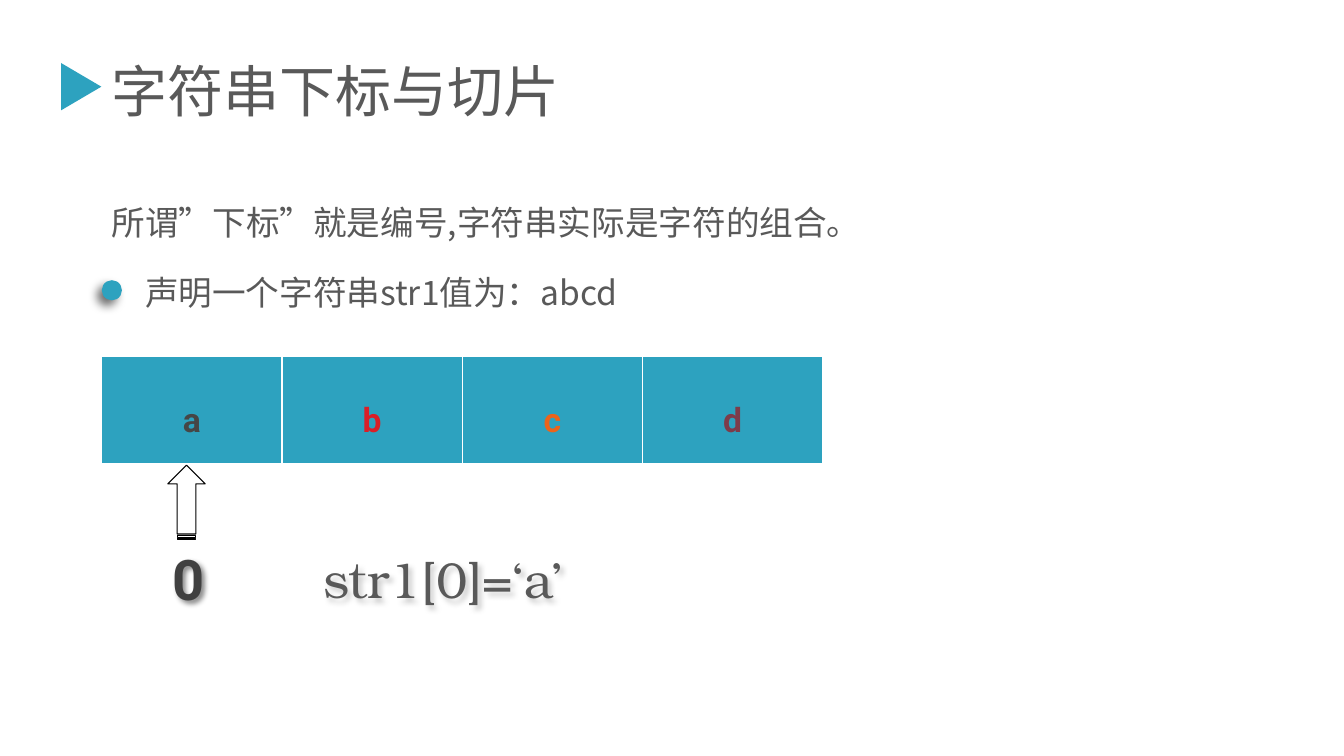
import pptx
import pptx.dml.color
import pptx.enum.shapes
import pptx.enum.text
import pptx.oxml
import pptx.oxml.ns
import pptx.util
from lxml import etree

RGBColor = pptx.dml.color.RGBColor
TEAL = RGBColor(0x2D, 0xA2, 0xBF)
GREY = RGBColor(0x59, 0x59, 0x59)
DARK = RGBColor(0x40, 0x40, 0x40)
SLATE = RGBColor(0x46, 0x46, 0x46)
RED = RGBColor(0xDA, 0x1F, 0x28)
ORANGE = RGBColor(0xEB, 0x64, 0x1B)
PLUM = RGBColor(0x7D, 0x3C, 0x4A)
BLACK = RGBColor(0, 0, 0)
WHITE = RGBColor(0xFF, 0xFF, 0xFF)

CJK, SANS, SERIF = "Noto Sans CJK SC", "Roboto", "TeX Gyre Bonum"
WIDTH, HEIGHT = 13.33, 7.5
COLUMNS, ROWS = 133.3, 75  # grid units of a tenth of an inch
SHAPES = pptx.enum.shapes.MSO_SHAPE
CENTER = pptx.enum.text.PP_ALIGN.CENTER


class SlideBuilder:
    """Draws on one slide; places are (column, row, columns, rows) of the grid."""

    def __init__(self, deck):
        self.deck = deck
        self.slide = deck.slides.add_slide(deck.slide_layouts[5])

    def place(self, column, row, columns, rows):
        across, down = self.deck.slide_width / COLUMNS, self.deck.slide_height / ROWS
        return [round(column * across), round(row * down),
                round(columns * across), round(rows * down)]

    def style(self, para, size, color, font=CJK, bold=False):
        for run in para.runs:
            run.font.size = pptx.util.Pt(size)
            run.font.color.rgb = color
            run.font.name = font
            run.font.bold = bold
            east_asian = etree.SubElement(run.font._element, pptx.oxml.ns.qn("a:ea"))
            east_asian.set("typeface", font)

    def fill_text(self, box, text, size, color, font=CJK, bold=False, spacing=None, before=0):
        frame = box.text_frame
        frame.text = text
        frame.word_wrap = True
        frame.auto_size = pptx.enum.text.MSO_AUTO_SIZE.NONE
        frame.vertical_anchor = pptx.enum.text.MSO_ANCHOR.TOP
        para = frame.paragraphs[0]
        para.alignment = pptx.enum.text.PP_ALIGN.LEFT
        para.line_spacing = spacing
        para.space_before = pptx.util.Pt(before)
        self.style(para, size, color, font, bold)

    def title(self, place, text, size, color):
        box = self.slide.shapes.title
        box.left, box.top, box.width, box.height = self.place(*place)
        self.fill_text(box, text, size, color)

    def text(self, place, text, size, color, **options):
        box = self.slide.shapes.add_textbox(*self.place(*place))
        self.fill_text(box, text, size, color, **options)
        return box

    def shape(self, kind, place, fill=None, line=None, rotation=0):
        shape = self.slide.shapes.add_shape(kind, *self.place(*place))
        shape.shadow.inherit = False
        shape.rotation = rotation
        if fill is None:
            shape.fill.background()
        else:
            shape.fill.solid()
            shape.fill.fore_color.rgb = fill
        if line is None:
            shape.line.fill.background()
        else:
            shape.line.color.rgb = line
            shape.line.width = pptx.util.Pt(0.75)
        return shape

    def shadow(self, shape, blur, distance, angle, opacity):
        """Casts an outer shadow: blur and distance in points, opacity in percent."""
        shape.shadow.inherit = False
        effects = shape._element.spPr.find(pptx.oxml.ns.qn("a:effectLst"))
        effects.append(pptx.oxml.parse_xml(
            f'<a:outerShdw {pptx.oxml.ns.nsdecls("a")} blurRad="{pptx.util.Pt(blur)}" '
            f'dist="{pptx.util.Pt(distance)}" dir="{angle * 60000}" algn="ctr" rotWithShape="0">'
            f'<a:srgbClr val="{BLACK}"><a:alpha val="{opacity * 1000}"/></a:srgbClr>'
            f'</a:outerShdw>'))

    def table(self, place, letters):
        frame = self.slide.shapes.add_table(1, len(letters), *self.place(*place))
        for cell, (letter, color) in zip(frame.table.iter_cells(), letters):
            cell.text = letter
            para = cell.text_frame.paragraphs[0]
            para.alignment = CENTER
            para.line_spacing = 2.0
            self.style(para, 24, color, SANS, bold=True)
            for side, width in (("L", 1), ("R", 1), ("T", 1), ("B", 3)):
                cell._tc.get_or_add_tcPr().append(pptx.oxml.parse_xml(
                    f'<a:ln{side} {pptx.oxml.ns.nsdecls("a")} w="{pptx.util.Pt(width)}">'
                    f'<a:solidFill><a:srgbClr val="{WHITE}"/></a:solidFill></a:ln{side}>'))
            cell.fill.solid()
            cell.fill.fore_color.rgb = TEAL


def main():
    deck = pptx.Presentation()
    deck.slide_width = pptx.util.Inches(WIDTH)
    deck.slide_height = pptx.util.Inches(HEIGHT)
    page = SlideBuilder(deck)

    page.title((10.1, 5.1, 65.2, 7.7), "字符串下标与切片", 40, GREY)
    page.shape(SHAPES.ISOSCELES_TRIANGLE, (5.7, 6.6, 4.7, 4), fill=TEAL, rotation=90)
    page.text((10.1, 17.5, 87.9, 6.4), "所谓”下标”就是编号,字符串实际是字符的组合。",
              24, GREY, spacing=1.5, before=6)
    page.table((10.1, 35.4, 71.5, 10.7),
               [("a", SLATE), ("b", RED), ("c", ORANGE), ("d", PLUM)])

    bullet = page.shape(SHAPES.OVAL, (10.1, 27.8, 2, 2), fill=TEAL)
    page.shadow(bullet, blur=7, distance=5, angle=135, opacity=57)
    page.text((13.4, 26.5, 49.8, 5), "声明一个字符串str1值为：abcd", 24, GREY, before=12)

    index = page.text((16.1, 53.5, 6.1, 7.7), "0", 40, DARK, font=SANS, bold=True)
    page.shadow(index, blur=4, distance=3, angle=45, opacity=45)
    page.shape(SHAPES.STRIPED_RIGHT_ARROW, (14.8, 48, 7.4, 3.7), line=BLACK, rotation=270)
    result = page.text((31.1, 53.9, 52.6, 7.1), "str1[0]=‘a’", 36, GREY, font=SERIF)
    page.shadow(result, blur=4, distance=3, angle=45, opacity=20)

    deck.save("out.pptx")


if __name__ == "__main__":
    main()
